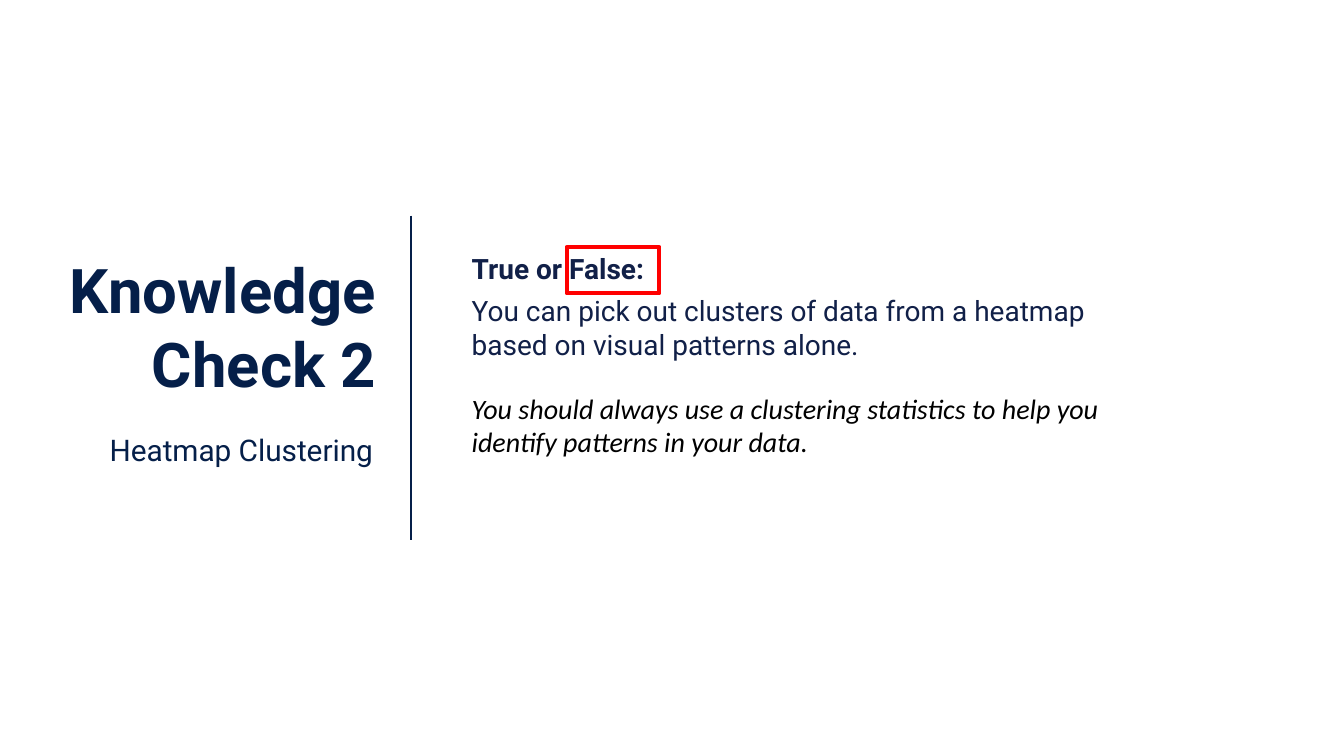
from dataclasses import dataclass

from lxml import etree
from pptx import Presentation
from pptx.dml.color import RGBColor
from pptx.enum import shapes, text
from pptx.oxml import ns
from pptx.util import Pt


@dataclass(frozen=True)
class Theme:
    navy: str = "051F49"
    ink: str = "112048"
    black: str = "000000"
    red: str = "FF0000"
    white: str = "FFFFFF"
    heading_font: str = "Roboto"
    answer_font: str = "Calibri"
    title_size: float = 44
    subtitle_size: float = 21.3
    body_size: float = 20


THEME = Theme()


def add_text_box(page, left, top, width, height):
    box = page.shapes.add_textbox(Pt(left), Pt(top), Pt(width), Pt(height))
    box.text_frame.word_wrap = True
    box.text_frame.auto_size = text.MSO_AUTO_SIZE.SHAPE_TO_FIT_TEXT
    return box


def write(box, words, *, size, color, font=THEME.heading_font, bold=False,
          italic=False, align=text.PP_ALIGN.LEFT, after=0):
    """Fill the first paragraph of a box, or add one below the others."""
    frame = box.text_frame
    para = frame.add_paragraph() if frame.text else frame.paragraphs[0]
    para.alignment = align
    para.space_after = Pt(after)
    span = para.add_run()
    span.text = words
    span.font.name = font
    span.font.size = Pt(size)
    span.font.bold = bold
    span.font.italic = italic
    span.font.color.rgb = RGBColor.from_string(color)


def add_divider(page, x, top, bottom, color, weight):
    divider = page.shapes.add_connector(
        shapes.MSO_CONNECTOR.STRAIGHT, Pt(x), Pt(top), Pt(x), Pt(bottom))
    divider.line.color.rgb = RGBColor.from_string(color)
    divider.line.width = Pt(weight)
    etree.SubElement(divider._element.spPr, ns.qn("a:effectLst"))


def add_frame(page, left, top, width, height, color, weight):
    frame = page.shapes.add_shape(
        shapes.MSO_SHAPE.RECTANGLE, Pt(left), Pt(top), Pt(width), Pt(height))
    frame.shadow.inherit = False
    frame.fill.background()
    frame.line.color.rgb = RGBColor.from_string(color)
    frame.line.width = Pt(weight)


def main():
    deck = Presentation()
    deck.slide_width, deck.slide_height = Pt(960), Pt(540)
    page = deck.slides.add_slide(deck.slide_layouts[6])
    page.background.fill.solid()
    page.background.fill.fore_color.rgb = RGBColor.from_string(THEME.white)

    # Heading column and divider
    add_divider(page, 293.8, 154, 386, THEME.navy, 1.5)
    title = add_text_box(page, 11.5, 176.4, 264.2, 113.8)
    write(title, "Knowledge Check 2", size=THEME.title_size, color=THEME.navy,
          bold=True, align=text.PP_ALIGN.RIGHT)
    subtitle = add_text_box(page, 9.4, 304.6, 264.2, 33.1)
    write(subtitle, "Heatmap Clustering", size=THEME.subtitle_size,
          color=THEME.navy, align=text.PP_ALIGN.RIGHT)

    # Question with the correct choice framed
    question = add_text_box(page, 329.8, 176.4, 504, 85.7)
    write(question, "True or False:", size=THEME.body_size, color=THEME.ink,
          bold=True, after=6)
    write(question, "You can pick out clusters of data from a heatmap "
          "based on visual patterns alone.",
          size=THEME.body_size, color=THEME.ink, after=6)
    add_frame(page, 404.8, 176.4, 66.2, 33.1, THEME.red, 3)

    # Explanation
    answer = add_text_box(page, 329.8, 275.8, 498.2, 55.4)
    write(answer, "You should always use a clustering statistics to help you "
          "identify patterns in your data.",
          size=THEME.body_size, color=THEME.black, font=THEME.answer_font,
          italic=True)

    deck.save("out.pptx")


if __name__ == "__main__":
    main()
